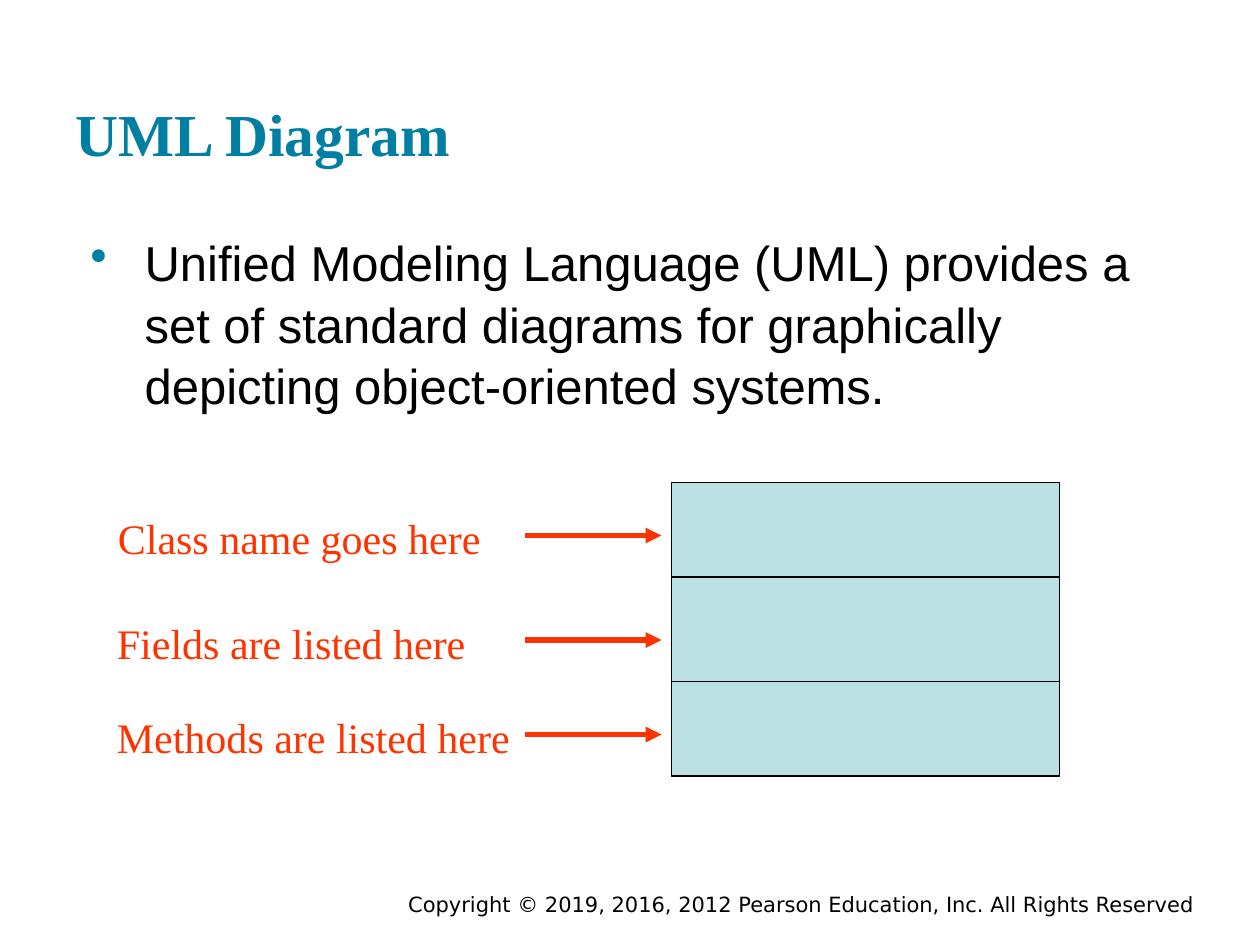
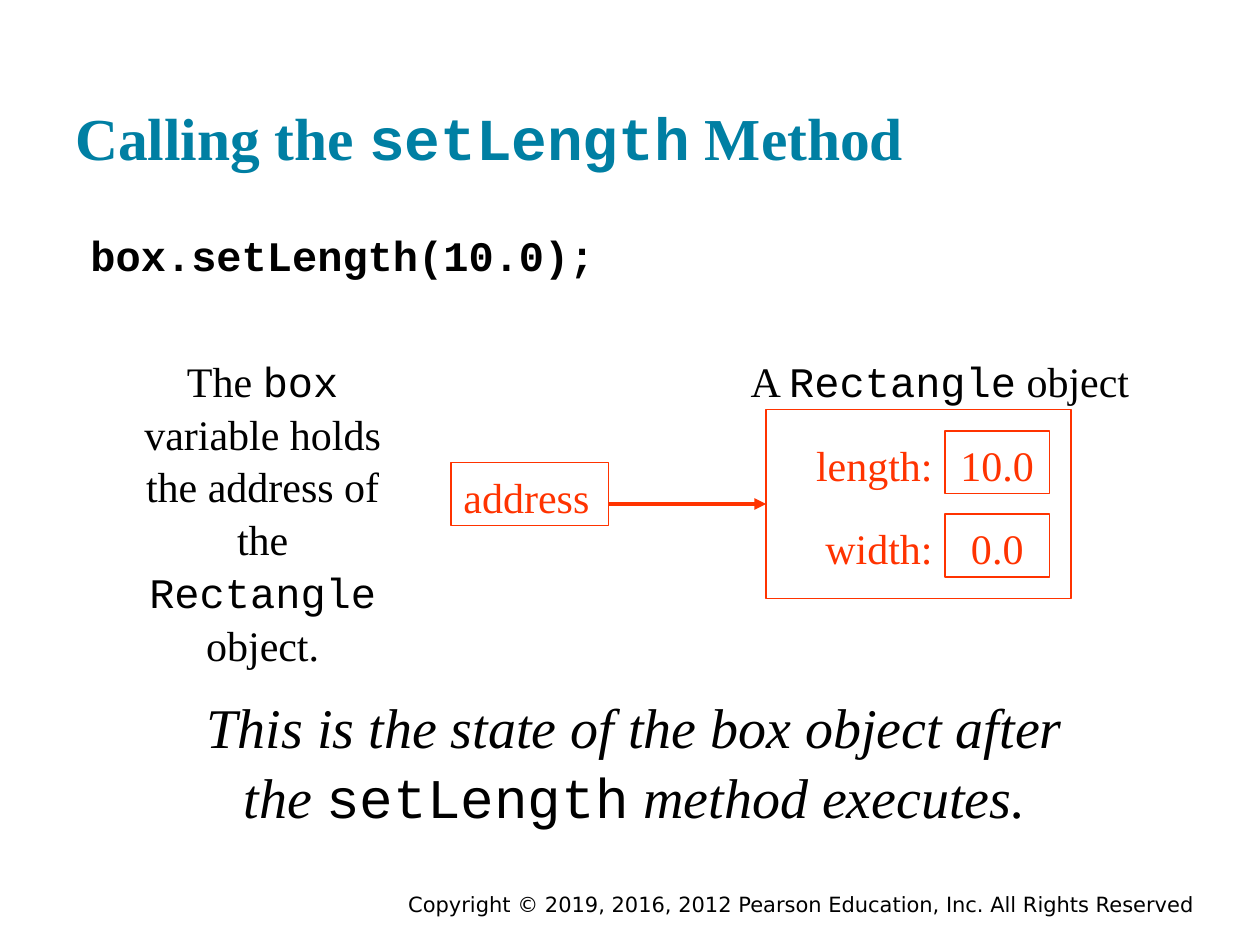
from lxml import etree
from pptx import Presentation
from pptx.dml.color import RGBColor
from pptx.enum import shapes as sh, text as tx
from pptx.oxml.ns import qn
from pptx.util import Inches, Pt

TEAL, RED, BLACK, PALE = "007FA3", "FF3300", "000000", "BBE0E3"
SERIF, SANS, MONO, FOOTER_FONT = "Times New Roman", "Arial", "Courier New", "DejaVu Sans"
COPYRIGHT = "Copyright © 2019, 2016, 2012 Pearson Education, Inc. All Rights Reserved"
LEFT, CENTER, RIGHT = tx.PP_ALIGN.LEFT, tx.PP_ALIGN.CENTER, tx.PP_ALIGN.RIGHT
LABEL_H = 0.5


def rgb(value):
    return RGBColor.from_string(value)


def write(shape, parts, size, color, font=SERIF, align=LEFT, bold=False,
          italic=False, pad=0.05, anchor=tx.MSO_ANCHOR.TOP, spacing=1.05,
          indent=None, bullet=None):
    """Fill a shape with one paragraph; parts is a string or (text, font) pairs."""
    frame = shape.text_frame
    frame.word_wrap = True
    frame.vertical_anchor = anchor
    frame.margin_left = frame.margin_right = Inches(0.1)
    frame.margin_top = frame.margin_bottom = Inches(pad)
    para = frame.paragraphs[0]
    para.alignment = align
    para.line_spacing = spacing
    props = para._p.get_or_add_pPr()
    if indent:
        props.set("marL", str(Inches(indent[0])))
        props.set("indent", str(Inches(indent[1])))
    if bullet:
        color_el = etree.SubElement(props, qn("a:buClr"))
        etree.SubElement(color_el, qn("a:srgbClr"), val=TEAL)
        etree.SubElement(props, qn("a:buChar"), char=bullet)
    para.font.size, para.font.color.rgb, para.font.bold = Pt(size), rgb(color), bold
    if isinstance(parts, str):
        para.font.name, para.font.italic = font, italic
        para.add_run().text = parts
        return
    for words, face in parts:
        run = para.add_run()
        run.text = words
        run.font.name = face
        if italic:
            run.font.italic = face != MONO


def add_text(slide, box, parts, size, color, **style):
    area = slide.shapes.add_textbox(*map(Inches, box))
    write(area, parts, size, color, **style)


def add_rect(slide, box, line, fill=None):
    rect = slide.shapes.add_shape(sh.MSO_SHAPE.RECTANGLE, *map(Inches, box))
    rect.shadow.inherit = False
    rect.line.color.rgb, rect.line.width = rgb(line), Pt(0.75)
    if fill:
        rect.fill.solid()
        rect.fill.fore_color.rgb = rgb(fill)
    else:
        rect.fill.background()
    return rect


def add_line(slide, x1, y1, x2, y2, color, width, arrow=False):
    line = slide.shapes.add_connector(
        sh.MSO_CONNECTOR.STRAIGHT, *map(Inches, (x1, y1, x2, y2)))
    line.line.color.rgb, line.line.width = rgb(color), Pt(width)
    if arrow:
        etree.SubElement(line.line._get_or_add_ln(), qn("a:tailEnd"), type="triangle")
    etree.SubElement(line._element.spPr, qn("a:effectLst"))
    return line


def start_slide(prs, title, title_top):
    """Blank slide with the shared footer and title."""
    slide = prs.slides.add_slide(prs.slide_layouts[6])
    add_text(slide, (1.75, 7.03, 7.83, 0.22), COPYRIGHT, 12, BLACK,
             font=FOOTER_FONT, align=RIGHT, spacing=1)
    add_text(slide, (0.5, title_top, 9, 1.2), title, 34, TEAL, bold=True,
             pad=0.1, anchor=tx.MSO_ANCHOR.BOTTOM, spacing=1)
    return slide


def class_diagram(slide, left, top):
    """Three-part class box with a label and an arrow for each part."""
    class_left, width, height = left + 4.58, 3.08, 2.33
    add_rect(slide, (class_left, top, width, height), BLACK, PALE)
    for divider in (0.75, 1.58):
        add_line(slide, class_left, top + divider, class_left + width, top + divider,
                 BLACK, 0.75)
    # Label, offsets of its box, alignment
    labels = [("Class name goes here", 0, 0.17, CENTER),
              ("Fields are listed here", 0.08, 1, LEFT),
              ("Methods are listed here", 0.08, 1.75, LEFT)]
    for label, dx, dy, align in labels:
        add_text(slide, (left + dx, top + dy, 3.33 if dx else 3.25, LABEL_H),
                 label, 24, RED, align=align)
        arrow_y = top + dy + LABEL_H / 2
        add_line(slide, left + 3.42, arrow_y, left + 4.5, arrow_y, RED, 3, arrow=True)


def object_diagram(slide, left, top):
    """Address variable pointing at an object with two fields."""
    address = add_rect(slide, (left, top + 0.92, 1.25, LABEL_H), RED)
    write(address, "address", 24, RED)

    # Object and its heading
    object_left, object_top, object_h = left + 2.5, top + 0.5, 1.5
    add_text(slide, (left + 1.92, top, 3.92, LABEL_H),
             [("A ", SERIF), ("Rectangle", MONO), (" object", SERIF)],
             24, BLACK, align=CENTER)
    rectangle = add_rect(slide, (object_left, object_top, 2.42, object_h), RED)

    # Fields
    for row, (field, value) in enumerate([("length:", "10.0"), ("width:", "0.0")]):
        y = object_top + 0.17 + row * 0.66
        add_text(slide, (object_left + 0.17, y, 1.25, LABEL_H), field, 24, RED,
                 align=RIGHT)
        cell = add_rect(slide, (object_left + 1.42, y, 0.83, LABEL_H), RED)
        write(cell, value, 24, RED, align=CENTER)

    # Reference
    middle = object_top + object_h / 2
    reference = add_line(slide, left + 1.25, middle, object_left, middle,
                         RED, 2.25, arrow=True)
    reference.end_connect(rectangle, 1)


def uml_slide(prs):
    slide = start_slide(prs, "UML Diagram", 0.24)
    add_text(slide, (0.5, 1.72, 9, 4.95),
             "Unified Modeling Language (UML) provides a set of standard diagrams "
             "for graphically depicting object-oriented systems.",
             28, BLACK, font=SANS, pad=0.1, indent=(0.55, -0.43), bullet="•")
    class_diagram(slide, 0.75, 3.83)


def set_length_slide(prs):
    slide = start_slide(
        prs, [("Calling the ", SERIF), ("setLength", MONO), (" Method", SERIF)], 0.27)
    add_text(slide, (0.51, 1.7, 9, 4.95), "box.setLength(10.0);", 24, BLACK,
             font=MONO, bold=True, pad=0.1, indent=(0.28, -0.17))
    add_text(slide, (0.92, 2.75, 2.33, 2.5),
             [("The ", SERIF), ("box ", MONO),
              ("variable holds the address of the ", SERIF),
              ("Rectangle", MONO), (" object.", SERIF)],
             24, BLACK, align=CENTER)
    object_diagram(slide, 3.58, 2.75)
    add_text(slide, (1.5, 5.42, 7.08, 1.17),
             [("This is the state of the box object after the ", SERIF),
              ("setLength", MONO), (" method executes.", SERIF)],
             32, BLACK, align=CENTER, italic=True)


def main():
    prs = Presentation()
    prs.slide_width, prs.slide_height = Inches(10), Inches(7.5)
    uml_slide(prs)
    set_length_slide(prs)
    prs.save("out.pptx")


if __name__ == "__main__":
    main()
